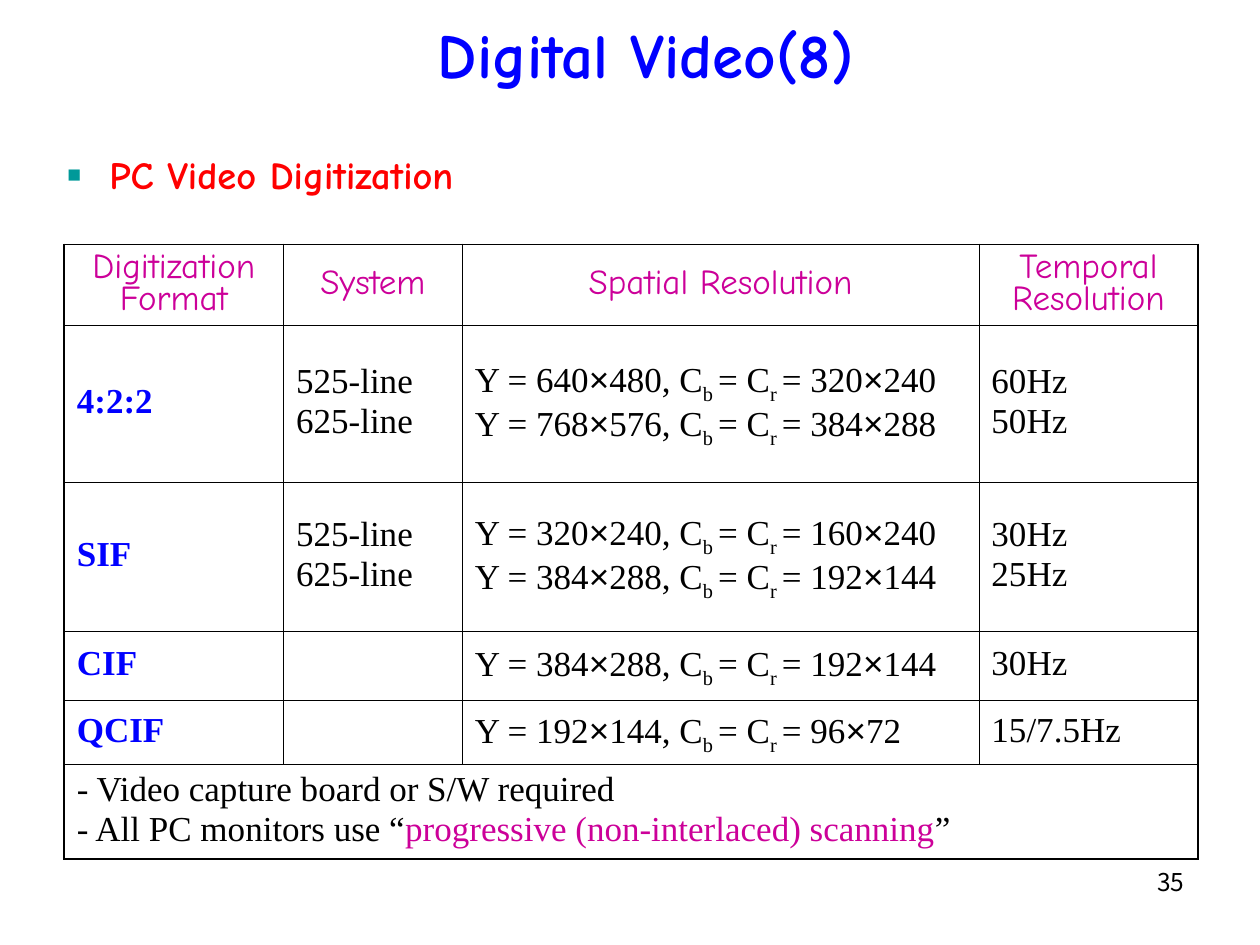
from typing import NamedTuple

from lxml.etree import SubElement as Sub
from pptx import Presentation
from pptx.dml.color import RGBColor as Rgb
from pptx.enum.text import MSO_ANCHOR as Anchor, PP_ALIGN as Align
from pptx.oxml.ns import qn
from pptx.util import Inches, Pt

HUES = {"ink": "000000", "blue": "0000FF", "red": "FF0000",
        "pink": "CC0099", "teal": "009999", "paper": "FFFFFF"}
SERIF, COMIC = "Times New Roman", "Comic Neue"
COLS = [1.74, 1.42, 4.1, 1.74]
ROWS = [0.64, 1.25, 1.18, 0.55, 0.51, 0.75]
THIN, THICK = 0.45, 1.08


class Run(NamedTuple):
    text: str
    hue: str = "ink"
    face: str = SERIF
    size: float = 20
    bold: bool = False
    base: int = 0


class Label(NamedTuple):
    left: float
    top: float
    width: float
    height: float
    run: Run
    align: Align
    anchor: Anchor = Anchor.TOP
    gap: float = 0
    mark: str = ""


class Entry(NamedTuple):
    name: str
    lines: list[str]
    sizes: list[tuple[str, str]]
    rates: list[str]


LABELS = [
    Label(7.17, 6.83, 2.33, 0.52, Run("35", face="Noto Sans CJK KR", size=14), Align.RIGHT),
    Label(2.72, 0, 4.81, 0.85, Run("Digital Video(8)", "blue", COMIC, 36, True),
          Align.CENTER, Anchor.MIDDLE),
    Label(0.43, 1.15, 3.94, 0.47, Run("PC Video Digitization", "red", COMIC, 22, True),
          Align.LEFT, gap=13.8, mark="▪"),
]
HEADS = ["Digitization Format", "System", "Spatial Resolution", "Temporal Resolution"]
LINES = ["525-line", "625-line"]
ENTRIES = [
    Entry("4:2:2", LINES, [("640×480", "320×240"), ("768×576", "384×288")], ["60Hz", "50Hz"]),
    Entry("SIF", LINES, [("320×240", "160×240"), ("384×288", "192×144")], ["30Hz", "25Hz"]),
    Entry("CIF", [], [("384×288", "192×144")], ["30Hz"]),
    Entry("QCIF", [], [("192×144", "96×72")], ["15/7.5Hz"]),
]
NOTES = [
    [Run("- Video capture board or S/W required")],
    [Run("- All PC monitors use “"), Run("progressive (non-interlaced) scanning", "pink"), Run("”")],
]


def style(item: object, values: dict) -> None:
    for key, value in values.items():
        setattr(item, key, value)


def write(para, runs: list[Run], form: dict) -> None:
    style(para, form)
    for run in runs:
        part = para.add_run()
        part.text = run.text
        style(part.font, {"name": run.face, "size": Pt(run.size), "bold": run.bold})
        part.font.color.rgb = Rgb.from_string(HUES[run.hue])
        if run.base:
            part.font._element.set("baseline", str(run.base * 1000))


def bullet(para, mark: str) -> None:
    props = para._p.get_or_add_pPr()
    props.set("marL", str(Inches(0.34)))
    props.set("indent", str(-Inches(0.34)))
    tint = Sub(props, qn("a:buClr"))
    Sub(tint, qn("a:srgbClr"), val=HUES["teal"])
    Sub(props, qn("a:buFont"), typeface=COMIC)
    Sub(props, qn("a:buChar"), char=mark)


def label(slide, item: Label) -> None:
    box = slide.shapes.add_textbox(*map(Inches, item[:4]))
    frame = box.text_frame
    style(frame, {"word_wrap": True, "vertical_anchor": item.anchor})
    para = frame.paragraphs[0]
    write(para, [item.run], {"alignment": item.align, "space_before": Pt(item.gap)})
    if item.mark:
        bullet(para, item.mark)


def ratio(luma: str, chroma: str) -> list[Run]:
    wide, tall = luma.split("×")
    broad, high = chroma.split("×")
    times = Run("×", face="Arial")
    return [Run(f"Y = {wide}"), times, Run(f"{tall}, C"), Run("b ", base=-25),
            Run("= C"), Run("r ", base=-25), Run(f"= {broad}"), times, Run(high)]


def border(cell, edges: dict[str, float]) -> None:
    props = cell._tc.get_or_add_tcPr()
    for spot, (side, width) in enumerate(edges.items()):
        line = Sub(props, qn(f"a:ln{side}"), w=str(Pt(width)))
        fill = Sub(line, qn("a:solidFill"))
        Sub(fill, qn("a:srgbClr"), val=HUES["ink"])
        props.insert(spot, line)


def fill(cell, paras: list[list[Run]], align: Align = Align.LEFT) -> None:
    cell.vertical_anchor = Anchor.MIDDLE
    frame = cell.text_frame
    for spot, runs in enumerate(paras):
        para = frame.add_paragraph() if spot else frame.paragraphs[0]
        write(para, runs, {"alignment": align, "line_spacing": 0.8, "space_before": Pt(5)})


def grid(slide) -> None:
    shape = slide.shapes.add_table(len(ROWS), len(COLS), Inches(0.51), Inches(1.94),
                                   Inches(sum(COLS)), Inches(sum(ROWS)))
    table = shape.table
    style(table, {"first_row": False, "horz_banding": False})
    for col, width in zip(table.columns, COLS):
        col.width = Inches(width)
    for row, height in zip(table.rows, ROWS):
        row.height = Inches(height)
    last, end = len(ROWS) - 1, len(COLS) - 1
    for r in range(len(ROWS)):
        for c in range(len(COLS)):
            cell = table.cell(r, c)
            style(cell, {"margin_left": Inches(0.1), "margin_right": Inches(0.1),
                         "margin_top": Inches(0.05), "margin_bottom": Inches(0.05)})
            cell.fill.solid()
            cell.fill.fore_color.rgb = Rgb.from_string(HUES["paper"])
            outer = {"L": c == 0 or r == last, "R": c == end or r == last,
                     "T": r == 0, "B": r == last}
            border(cell, {side: THICK if edge else THIN for side, edge in outer.items()})
    table.cell(last, 0).merge(table.cell(last, end))
    for c, head in enumerate(HEADS):
        fill(table.cell(0, c), [[Run(head, "pink", COMIC)]], Align.CENTER)
    for r, entry in enumerate(ENTRIES, 1):
        fill(table.cell(r, 0), [[Run(entry.name, "blue", bold=True)]])
        fill(table.cell(r, 1), [[Run(text)] for text in entry.lines])
        fill(table.cell(r, 2), [ratio(*pair) for pair in entry.sizes])
        fill(table.cell(r, 3), [[Run(text)] for text in entry.rates])
    fill(table.cell(last, 0), NOTES)


def main() -> None:
    deck = Presentation()
    style(deck, {"slide_width": Inches(10), "slide_height": Inches(7.5)})
    slide = deck.slides.add_slide(deck.slide_layouts[6])
    for item in LABELS:
        label(slide, item)
    grid(slide)
    deck.save("out.pptx")


if __name__ == "__main__":
    main()
